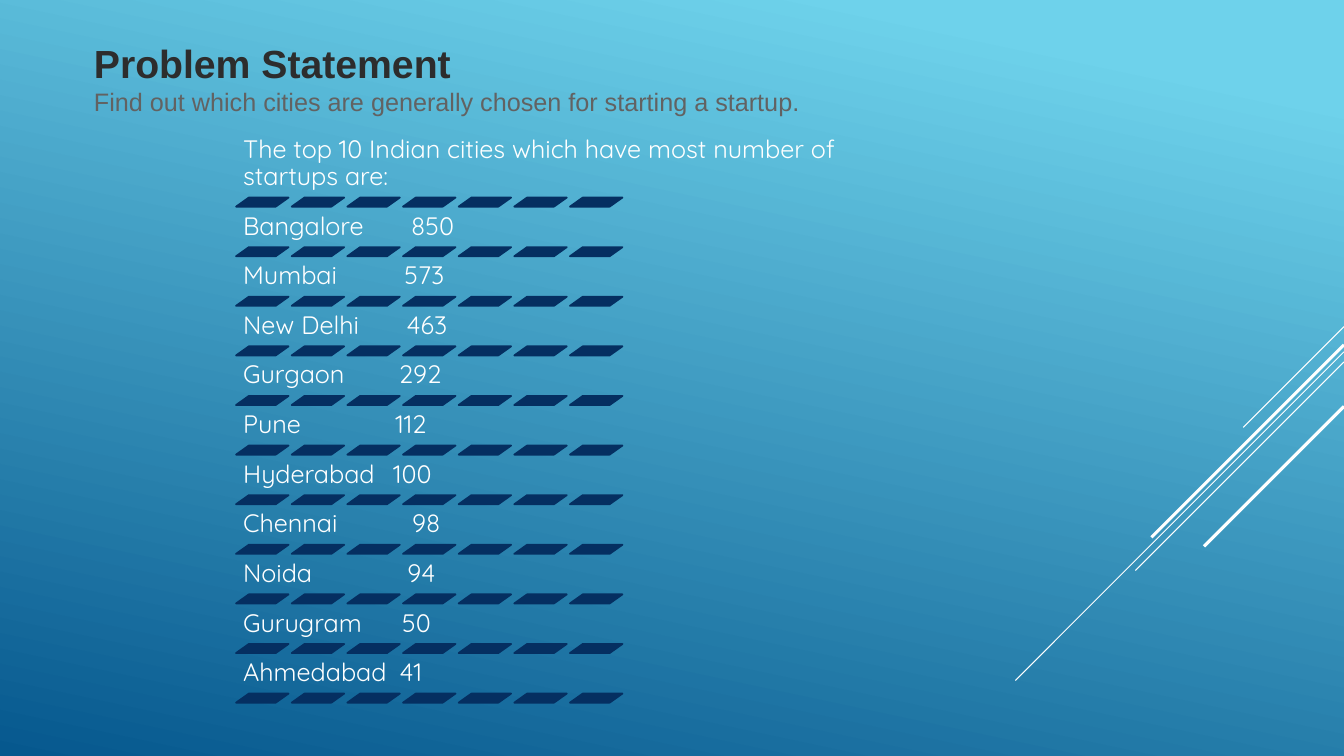
from dataclasses import dataclass

import pptx
import pptx.dml.color
import pptx.enum.shapes
import pptx.enum.text
import pptx.oxml.ns
import pptx.util
from lxml import etree

Pt = pptx.util.Pt


@dataclass(frozen=True)
class Theme:
    sky: str = "6ED2EB"
    sea: str = "06588E"
    title: str = "2D2D2D"
    subtitle: str = "626262"
    light: str = "FFFFFF"
    bar: str = "052F61"
    title_font: str = "Arial"
    body_font: str = "Quicksand"
    title_size: float = 28
    body_size: float = 18
    bar_line: float = 1.25
    thin: float = 0.75
    thick: float = 2.25


@dataclass(frozen=True)
class Box:
    left: float
    top: float
    width: float
    height: float


THEME = Theme()
PAGE = Box(0, 0, 960, 540)
CITIES = [
    ("Bangalore", 850, 120), ("Mumbai", 573, 115.2), ("New Delhi", 463, 116.8),
    ("Gurgaon", 292, 111.2), ("Pune", 112, 108.8), ("Hyderabad", 100, 107.2),
    ("Chennai", 98, 120.8), ("Noida", 94, 117.4), ("Gurugram", 50, 113.6),
    ("Ahmedabad", 41, 111.8),
]
STREAKS = [
    (0, 72, THEME.thin), (18, 234.7, THEME.thin), (25.2, 149, THEME.thin),
    (13, 137.5, THEME.thick), (57, 100, THEME.thick),
]


def rgb(value):
    return pptx.dml.color.RGBColor.from_string(value)


def add_frame(page, box, inset_x, inset_y):
    frame = page.shapes.add_textbox(
        Pt(box.left), Pt(box.top), Pt(box.width), Pt(box.height)).text_frame
    frame.word_wrap = True
    frame.margin_left = frame.margin_right = Pt(inset_x)
    frame.margin_top = frame.margin_bottom = Pt(inset_y)
    return frame


def add_span(para, text, font, size, color, bold=False):
    span = para.add_run()
    span.text = text
    span.font.name = font
    span.font.size = Pt(size)
    span.font.bold = bold
    span.font.color.rgb = rgb(color)


def paint_background(page):
    fill = page.background.fill
    fill.gradient()
    fill.gradient_angle = 258
    stops = [(0.1, THEME.sky), (1, THEME.sea)]
    for stop, (position, color) in zip(fill.gradient_stops, stops):
        stop.position = position
        stop.color.rgb = rgb(color)


def add_streaks(page, box):
    right = box.left + box.width
    for offset, reach, weight in STREAKS:
        top = box.top + offset
        streak = page.shapes.add_connector(
            pptx.enum.shapes.MSO_CONNECTOR.STRAIGHT,
            Pt(right), Pt(top), Pt(right - reach), Pt(top + reach))
        streak.line.color.rgb = rgb(THEME.light)
        streak.line.width = Pt(weight)
        etree.SubElement(streak._element.spPr, pptx.oxml.ns.qn("a:effectLst"))


def add_heading(page, box):
    frame = add_frame(page, box, 7.2, 3.6)
    add_span(frame.paragraphs[0], "Problem Statement",
             THEME.title_font, THEME.title_size, THEME.title, bold=True)
    add_span(frame.add_paragraph(),
             "Find out which cities are generally chosen for starting a startup.",
             THEME.title_font, THEME.body_size, THEME.subtitle)


def add_label(page, box, text, tab=None):
    frame = add_frame(page, box, 5.04, 5.04)
    frame.vertical_anchor = pptx.enum.text.MSO_ANCHOR.BOTTOM
    para = frame.paragraphs[0]
    para.line_spacing = 0.9
    if tab is not None:
        tabs = etree.SubElement(
            para._p.get_or_add_pPr(), pptx.oxml.ns.qn("a:tabLst"))
        etree.SubElement(tabs, pptx.oxml.ns.qn("a:tab"),
                         pos=str(int(Pt(tab))), algn="l")
    add_span(para, text, THEME.body_font, THEME.body_size, THEME.light)


def add_bars(page, box, count=7, bar_width=37.5):
    pitch = (box.width - bar_width) / (count - 1)
    for index in range(count):
        bar = page.shapes.add_shape(
            pptx.enum.shapes.MSO_SHAPE.PARALLELOGRAM,
            Pt(box.left + index * pitch), Pt(box.top),
            Pt(bar_width), Pt(box.height))
        bar.adjustments[0] = 1.408
        bar.shadow.inherit = False
        bar.fill.solid()
        bar.fill.fore_color.rgb = rgb(THEME.bar)
        bar.line.color.rgb = rgb(THEME.bar)
        bar.line.width = Pt(THEME.bar_line)


def add_city_list(page, box):
    label_height, bar_height, bars_width = 25.6, 6.5, 276
    bar_drop = 25.2
    rows = [("The top 10 Indian cities which have most number of startups are:",
             box.width, None)]
    rows += [(f"{city}\t{total}", 281.5, tab) for city, total, tab in CITIES]
    pitch = (box.height - bar_drop - bar_height) / (len(rows) - 1)
    for index, (text, width, tab) in enumerate(rows):
        top = box.top + index * pitch
        add_label(page, Box(box.left, top, width, label_height), text, tab)
        add_bars(page, Box(box.left, top + bar_drop, bars_width, bar_height))


def main():
    deck = pptx.Presentation()
    deck.slide_width = Pt(PAGE.width)
    deck.slide_height = Pt(PAGE.height)
    page = deck.slides.add_slide(deck.slide_layouts[6])
    paint_background(page)
    add_streaks(page, Box(725, 233.3, 235, 253))
    add_heading(page, Box(60, 24.5, 660, 63.5))
    add_city_list(page, Box(168.6, 115.9, 497.5, 386))
    deck.save("out.pptx")


if __name__ == "__main__":
    main()
